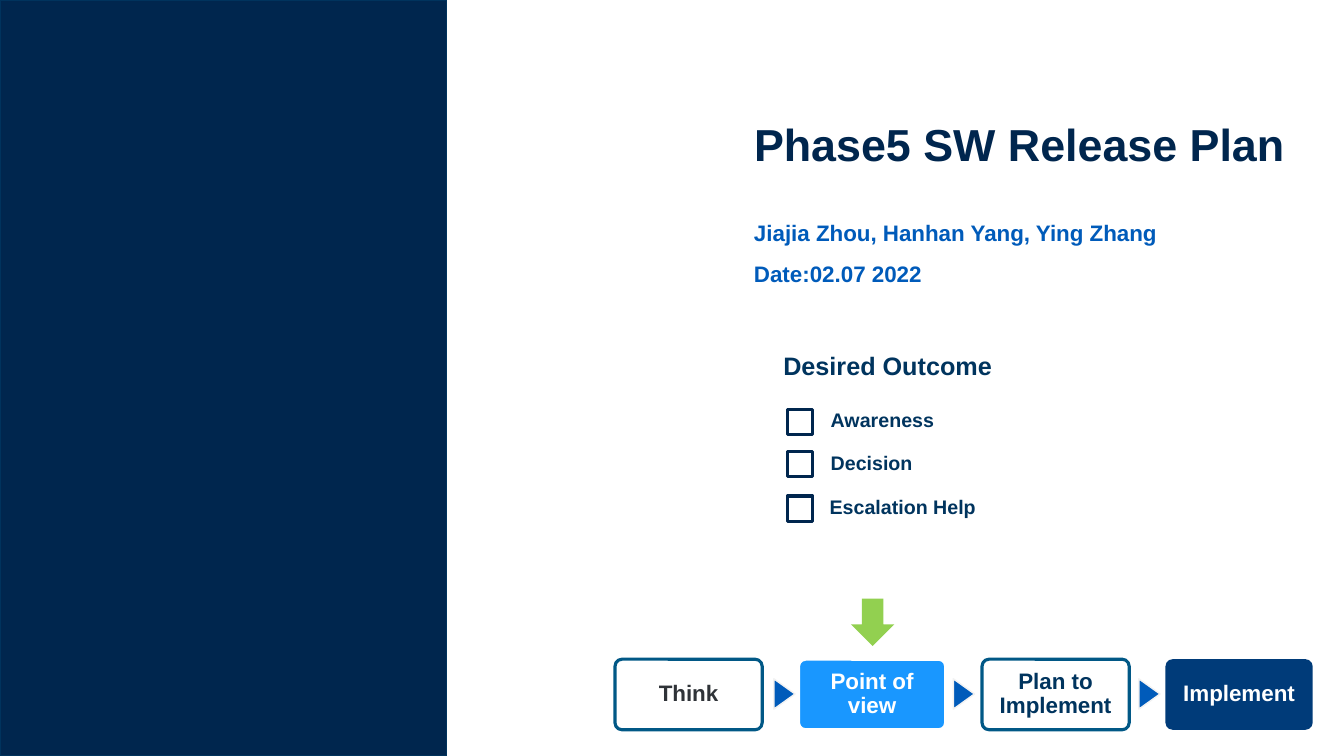
from pptx import Presentation
from pptx.dml.color import RGBColor
from pptx.enum.shapes import MSO_SHAPE
from pptx.enum.text import MSO_ANCHOR, PP_ALIGN
from pptx.util import Inches, Pt

NAVY = RGBColor(0x00, 0x26, 0x4E)
PANEL_EDGE = RGBColor(0x00, 0x33, 0x5D)
INK = RGBColor(0x00, 0x34, 0x5E)
BLUE = RGBColor(0x00, 0x5B, 0xBA)
TEAL = RGBColor(0x01, 0x58, 0x86)
SKY = RGBColor(0x19, 0x97, 0xFF)
DEEP_BLUE = RGBColor(0x00, 0x3B, 0x79)
CHARCOAL = RGBColor(0x2F, 0x33, 0x38)
GREEN = RGBColor(0x92, 0xD0, 0x50)
PALE = RGBColor(0xF2, 0xF2, 0xF2)
WHITE = RGBColor(0xFF, 0xFF, 0xFF)

# text, left, top, width, height, size, colour
HEADINGS = [
    ("Phase5 SW Release Plan", 7.38, 0.83, 6.45, 1.18, 32, NAVY),
    ("Jiajia Zhou, Hanhan Yang, Ying Zhang", 7.38, 1.99, 4.96, 0.64, 16, BLUE),
    ("Date:02.07 2022", 7.38, 2.39, 3.7, 0.64, 16, BLUE),
    ("Desired Outcome", 7.67, 3.31, 3.42, 0.64, 18, INK),
]
# text, box top, label left, label top
OUTCOMES = [
    ("Awareness", 4.06, 8.14, 3.84),
    ("Decision", 4.48, 8.14, 4.27),
    ("Escalation Help", 4.92, 8.13, 4.71),
]
# text, fill, line, text colour
STAGES = [
    ("Think", None, TEAL, CHARCOAL),
    ("Point of view", SKY, WHITE, WHITE),
    ("Plan to Implement", None, TEAL, INK),
    ("Implement", DEEP_BLUE, None, WHITE),
]
STAGE_LEFT, STAGE_PITCH = 6.1, 1.82
ARROW_LEFTS = [7.63, 9.41, 11.25]


def add_shape(slide, kind, left, top, width, height, fill=None, line=None, line_width=2.25):
    shape = slide.shapes.add_shape(
        kind, Inches(left), Inches(top), Inches(width), Inches(height))
    shape.shadow.inherit = False
    if fill is None:
        shape.fill.background()
    else:
        shape.fill.solid()
        shape.fill.fore_color.rgb = fill
    if line is None:
        shape.line.fill.background()
    else:
        shape.line.color.rgb = line
        shape.line.width = Pt(line_width)
    return shape


def write(shape, text, size, colour, alignment=PP_ALIGN.LEFT):
    frame = shape.text_frame
    frame.word_wrap = True
    frame.vertical_anchor = MSO_ANCHOR.MIDDLE
    paragraph = frame.paragraphs[0]
    paragraph.alignment = alignment
    run = paragraph.add_run()
    run.text = text
    run.font.name = "Arial"
    run.font.size = Pt(size)
    run.font.bold = True
    run.font.color.rgb = colour
    return paragraph


def add_label(slide, text, left, top, width, height, size, colour):
    box = slide.shapes.add_textbox(
        Inches(left), Inches(top), Inches(width), Inches(height))
    write(box, text, size, colour)


def add_stage(slide, left, text, fill, line, colour):
    stage = add_shape(slide, MSO_SHAPE.ROUNDED_RECTANGLE, left, 6.54, 1.46, 0.7, fill, line)
    stage.adjustments[0] = 0.1
    frame = stage.text_frame
    frame.margin_left = frame.margin_right = Inches(0.09)
    frame.margin_top = frame.margin_bottom = Inches(0.09)
    write(stage, text, 16, colour, PP_ALIGN.CENTER).line_spacing = 0.9


def main():
    presentation = Presentation()
    presentation.slide_width = Inches(13.33)
    presentation.slide_height = Inches(7.5)
    slide = presentation.slides.add_slide(presentation.slide_layouts[6])

    add_shape(slide, MSO_SHAPE.RECTANGLE, 0, 0, 4.43, 7.5, NAVY, PANEL_EDGE, 1)
    for heading in HEADINGS:
        add_label(slide, *heading)

    for text, box_top, label_left, label_top in OUTCOMES:
        add_shape(slide, MSO_SHAPE.RECTANGLE, 7.81, box_top, 0.25, 0.25, line=NAVY)
        add_label(slide, text, label_left, label_top, 2.42, 0.64, 14, INK)

    for index, stage in enumerate(STAGES):
        add_stage(slide, STAGE_LEFT + index * STAGE_PITCH, *stage)
    for left in ARROW_LEFTS:
        arrow = add_shape(
            slide, MSO_SHAPE.ISOSCELES_TRIANGLE, left, 6.78, 0.3, 0.21, BLUE, PALE, 1)
        arrow.rotation = 90
    add_shape(slide, MSO_SHAPE.DOWN_ARROW, 8.44, 5.94, 0.43, 0.47, GREEN)

    presentation.save("out.pptx")


if __name__ == "__main__":
    main()
